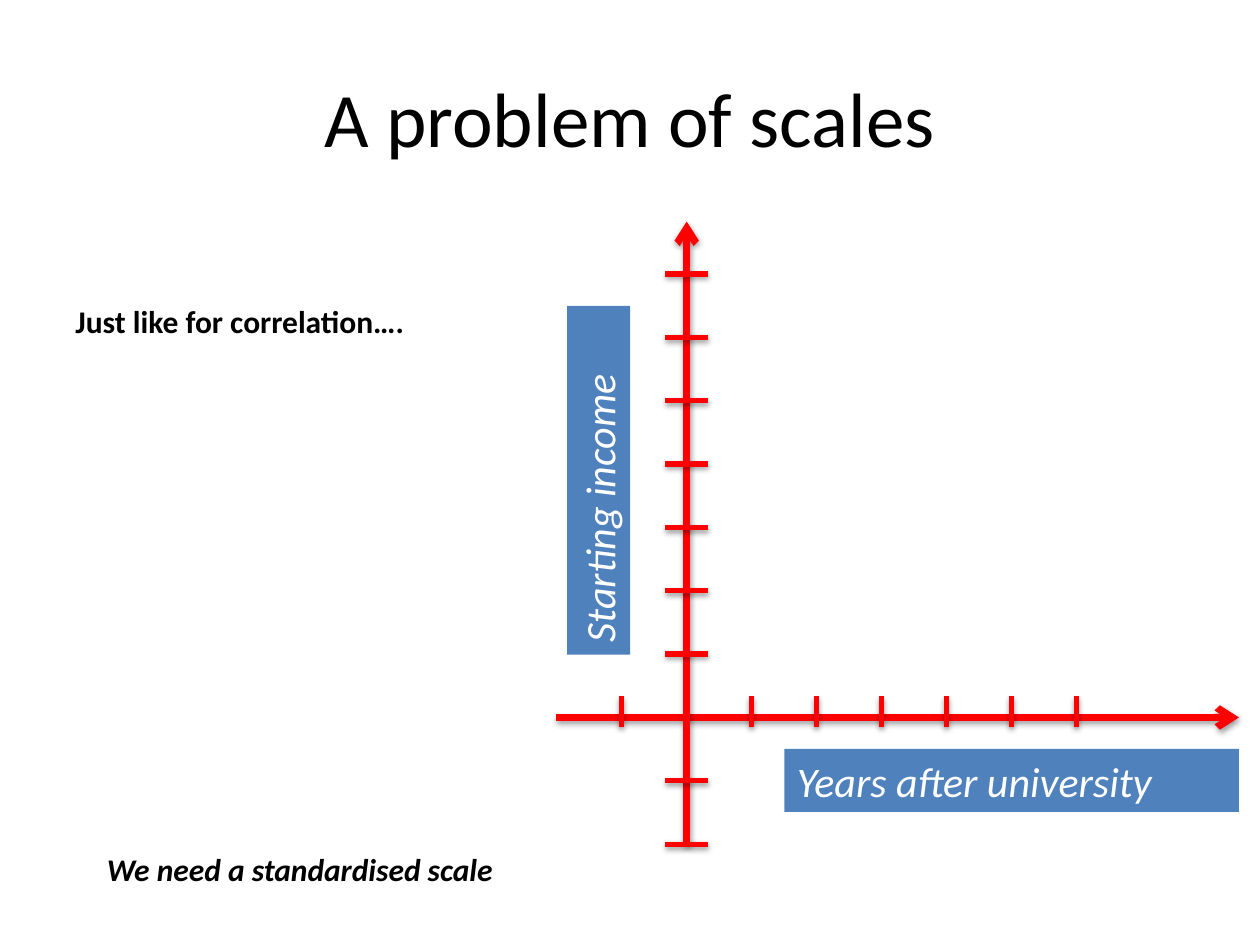
"""Build a slide that shows two axes of unlike scale."""
from dataclasses import dataclass

from lxml import etree
from pptx import Presentation
from pptx.dml.color import RGBColor
from pptx.enum.shapes import MSO_CONNECTOR, MSO_SHAPE
from pptx.enum.text import MSO_ANCHOR, MSO_AUTO_SIZE, PP_ALIGN
from pptx.oxml import parse_xml
from pptx.util import Pt

STRAIGHT = MSO_CONNECTOR.STRAIGHT
RECT = MSO_SHAPE.RECTANGLE
TOP, MIDDLE = MSO_ANCHOR.TOP, MSO_ANCHOR.MIDDLE
GROW, FIXED = MSO_AUTO_SIZE.SHAPE_TO_FIT_TEXT, MSO_AUTO_SIZE.NONE
LEFT, CENTER = PP_ALIGN.LEFT, PP_ALIGN.CENTER
NS = "http://schemas.openxmlformats.org/drawingml/2006/main"
SHADOW = (
    f'<a:effectLst xmlns:a="{NS}">'
    '<a:outerShdw blurRad="40000" dist="20000" dir="5400000" rotWithShape="0">'
    '<a:srgbClr val="000000"><a:alpha val="38000"/></a:srgbClr>'
    '</a:outerShdw></a:effectLst>'
)


@dataclass(frozen=True)
class Theme:
    font: str = "Calibri"
    ink: str = "000000"
    pale: str = "FFFFFF"
    axis: str = "FF0000"
    panel: str = "4F81BD"
    title: int = 44
    label: int = 24
    note: int = 18
    thick: int = 4
    thin: int = 3


class Deck:
    def __init__(self, slide, theme):
        self.slide, self.theme = slide, theme

    def fill_text(self, shape, text, size, color, bold=False, italic=False,
                  align=LEFT, anchor=TOP, fit=GROW):
        frame = shape.text_frame
        frame.word_wrap = True
        frame.auto_size = fit
        frame.vertical_anchor = anchor
        para = frame.paragraphs[0]
        para.alignment = align
        run = para.add_run()
        run.text = text
        font = run.font
        font.name, font.size = self.theme.font, Pt(size)
        font.bold, font.italic = bold, italic
        font.color.rgb = RGBColor.from_string(color)

    def text(self, box, text, size, **style):
        shape = self.slide.shapes.add_textbox(*map(Pt, box))
        self.fill_text(shape, text, size, self.theme.ink, **style)

    def label(self, box, text, turn=0):
        shape = self.slide.shapes.add_shape(RECT, *map(Pt, box))
        shape.shadow.inherit = False
        shape.fill.solid()
        shape.fill.fore_color.rgb = RGBColor.from_string(self.theme.panel)
        shape.line.fill.background()
        shape.rotation = turn
        self.fill_text(shape, text, self.theme.label, self.theme.pale,
                       italic=True)

    def line(self, start, end, width, arrow=False):
        shape = self.slide.shapes.add_connector(
            STRAIGHT, *map(Pt, (*start, *end)))
        shape.line.color.rgb = RGBColor.from_string(self.theme.axis)
        shape.line.width = Pt(width)
        props = shape._element.spPr
        if arrow:
            line = props.find(f"{{{NS}}}ln")
            etree.SubElement(line, f"{{{NS}}}tailEnd", type="arrow")
        props.append(parse_xml(SHADOW))


def main():
    show = Presentation()
    show.slide_width, show.slide_height = Pt(720), Pt(540)
    theme = Theme()
    deck = Deck(show.slides.add_slide(show.slide_layouts[6]), theme)

    deck.text((36, 21.6, 648, 90), "A problem of scales", theme.title,
              align=CENTER, anchor=MIDDLE, fit=FIXED)

    mid_x, mid_y = 392.4, 410
    step_x, step_y = 37.1, 36.2
    deck.line((318, mid_y), (708, mid_y), theme.thick, arrow=True)
    deck.line((mid_x, 482.4), (mid_x, 126.6), theme.thick, arrow=True)
    for pos in (-1, *range(1, 7)):
        x = mid_x + pos * step_x
        deck.line((x, 415.5), (x, 398), theme.thin)
    for pos in (-2, -1, *range(1, 8)):
        y = mid_y - pos * step_y
        deck.line((380.2, y), (404.6, y), theme.thin)

    deck.label((448.3, 428, 259.7, 36), "Years after university")
    deck.label((242.4, 256.4, 199.4, 36), "Starting income", turn=270)
    deck.text((36, 169.2, 246, 29), "Just like for correlation….",
              theme.note, bold=True)
    deck.text((54, 482.4, 301, 29), "We need a standardised scale",
              theme.note, bold=True, italic=True)
    show.save("out.pptx")


if __name__ == "__main__":
    main()
